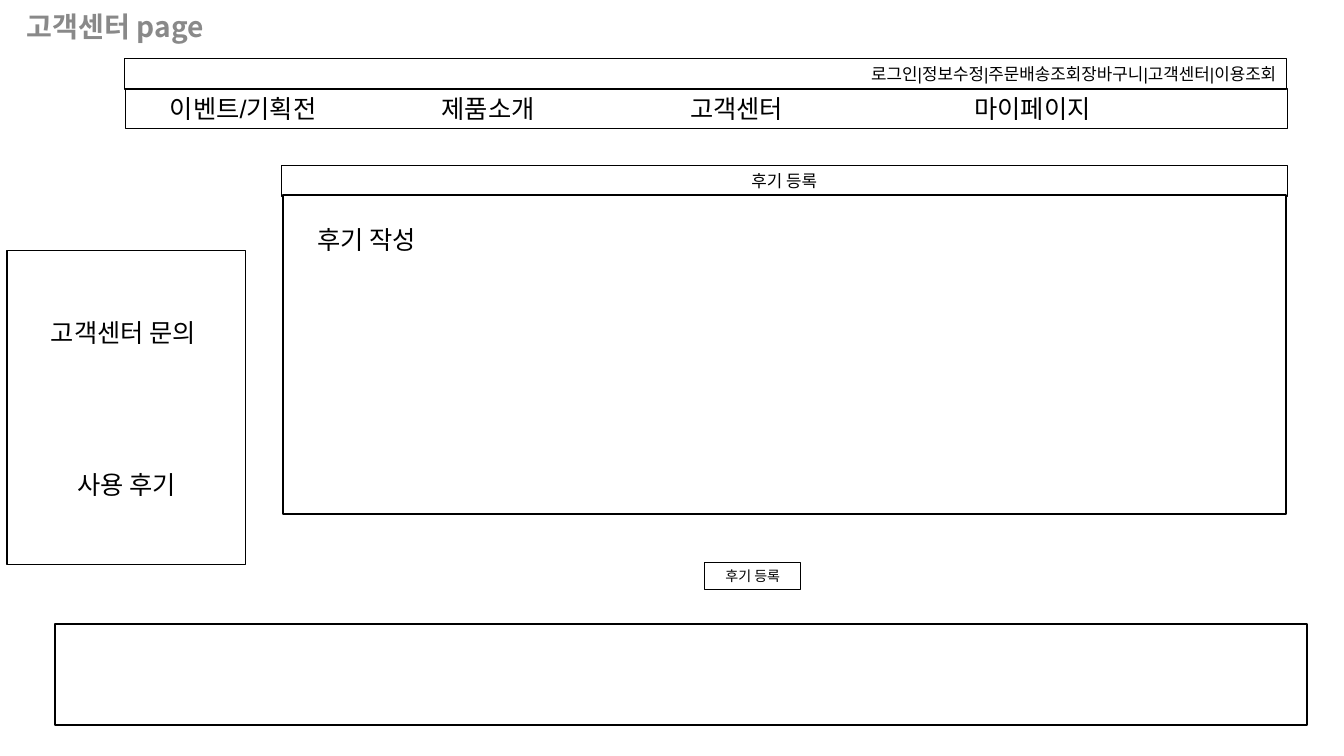
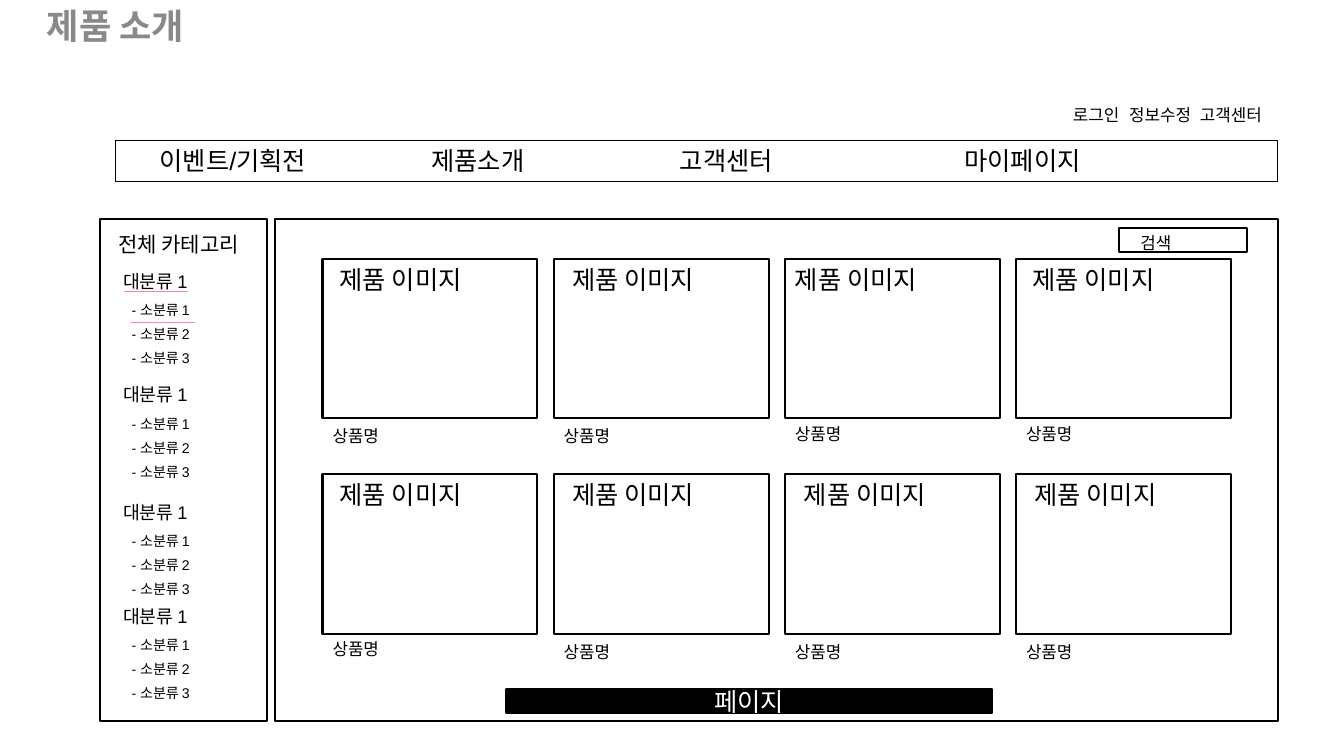
"""Build two wireframe slides for a shopping site: customer center and products."""
from lxml import etree
from pptx import Presentation
from pptx.dml.color import RGBColor
from pptx.enum.shapes import MSO_CONNECTOR, MSO_SHAPE
from pptx.enum.text import MSO_ANCHOR, MSO_AUTO_SIZE, PP_ALIGN
from pptx.oxml.ns import qn
from pptx.util import Pt

RECT = MSO_SHAPE.RECTANGLE
STRAIGHT = MSO_CONNECTOR.STRAIGHT
TOP, MIDDLE, BOTTOM = MSO_ANCHOR.TOP, MSO_ANCHOR.MIDDLE, MSO_ANCHOR.BOTTOM
LEFT, CENTER, RIGHT = PP_ALIGN.LEFT, PP_ALIGN.CENTER, PP_ALIGN.RIGHT

BLACK, WHITE, GRAY, PINK = "000000", "FFFFFF", "898989", "FF7DBD"
BODY_FONT, TITLE_FONT = "Arial", "Noto Sans CJK KR"
THIN, THICK = 0.77, 1.5

MENU = ["이벤트/기획전", "제품소개", "고객센터", "마이페이지"]
MENU_TABS = [24.5, 218, 395, 597.5]
ACCOUNT_LINKS = "로그인|정보수정|주문배송조회장바구니|고객센터|이용조회"
SHORT_LINKS = ["로그인", "정보수정", "고객센터"]
SHORT_TABS = [22.5, 62.5, 113]
SIDE_MENU = ["고객센터 문의 ", "사용 후기"]

CATEGORY = "대분류 1"
SUBCATEGORIES = ["- 소분류 1", "- 소분류 2", "- 소분류 3"]
CATEGORY_TOPS = [188.6, 269.3, 352.8, 427]
SUB_OFFSET, SUB_PITCH = 22.7, 17
UNDERLINES = [(88.6, 207.4), (93.6, 229.7)]
UNDERLINE_WIDTH = 45.4

CARD_LEFT, CARD_PITCH, CARD_W, CARD_H = 229.7, 164.6, 153, 113.5
CARD_ROWS = [
    (184.3, [(5, 115.2), (6, 115.2), (0, 113.5), (4.5, 113.5)]),
    (337.6, [(5, 113.2), (6, 115.2), (6.5, 115.2), (6, 115.2)]),
]


def color(value):
    """Turn a hex string into a colour."""
    return RGBColor.from_string(value)


def write(shape, lines, size=18, font=BODY_FONT, ink=BLACK, bold=False,
          align=LEFT, anchor=TOP, tabs=(), gap=0, top=3.6):
    """Fill a shape with formatted paragraphs."""
    tf = shape.text_frame
    tf.word_wrap = True
    tf.auto_size = MSO_AUTO_SIZE.NONE
    tf.vertical_anchor = anchor
    tf.margin_left = tf.margin_right = Pt(7.2)
    tf.margin_top, tf.margin_bottom = Pt(top), Pt(3.6)
    for i, line in enumerate([lines] if isinstance(lines, str) else lines):
        p = tf.add_paragraph() if i else tf.paragraphs[0]
        p.alignment = align
        p.space_before = Pt(gap if i else 0)
        if tabs:
            stops = etree.SubElement(p._p.get_or_add_pPr(), qn("a:tabLst"))
            for pos in tabs:
                etree.SubElement(stops, qn("a:tab"), pos=str(Pt(pos)), algn="l")
        r = p.add_run()
        r.text = line
        r.font.name, r.font.size, r.font.bold = font, Pt(size), bold
        r.font.color.rgb = color(ink)


def box(s, x, y, w, h, lines=None, weight=THICK, fill=WHITE, **fmt):
    """Draw an outlined rectangle, with text if given."""
    sp = s.shapes.add_shape(RECT, Pt(x), Pt(y), Pt(w), Pt(h))
    sp.shadow.inherit = False
    if fill:
        sp.fill.solid()
        sp.fill.fore_color.rgb = color(fill)
    else:
        sp.fill.background()
    sp.line.color.rgb = color(BLACK)
    sp.line.width = Pt(weight)
    if lines:
        write(sp, lines, **fmt)


def label(s, x, y, w, h, lines, **fmt):
    """Place a plain text box."""
    write(s.shapes.add_textbox(Pt(x), Pt(y), Pt(w), Pt(h)), lines, **fmt)


def outline(s, x, y, w, h, lines, **fmt):
    """Draw a thin unfilled rectangle with text."""
    box(s, x, y, w, h, lines, weight=THIN, fill=None, **fmt)


def tabbed(words):
    """Put each word on its own tab stop."""
    return "".join("\t" + word for word in words)


def menu_bar(s, x, y):
    """Draw the main menu shared by the pages."""
    outline(s, x, y, 827.3, 28.8, tabbed(MENU), tabs=MENU_TABS)


def underline(s, x, y):
    """Draw a pink line under a menu entry."""
    c = s.shapes.add_connector(STRAIGHT, Pt(x), Pt(y), Pt(x + UNDERLINE_WIDTH), Pt(y))
    c.line.color.rgb = color(PINK)
    c.line.width = Pt(1)
    etree.SubElement(c._element.spPr, qn("a:effectLst"))


def new_slide(prs, title, size):
    """Add a slide with the gray page title."""
    s = prs.slides.add_slide(prs.slide_layouts[5])
    sp = s.shapes.title
    sp.left, sp.top, sp.width, sp.height = Pt(0), Pt(0), Pt(164.2), Pt(36.7)
    write(sp, title, size=size, font=TITLE_FONT, ink=GRAY, bold=True,
          align=CENTER, anchor=MIDDLE)
    return s


def customer_center(prs):
    """Build the customer center page."""
    s = new_slide(prs, "고객센터 page", 20)
    outline(s, 88.6, 41.8, 827.3, 21.6, ACCOUNT_LINKS, size=12, align=RIGHT, anchor=BOTTOM)
    menu_bar(s, 89.3, 62.8)
    outline(s, 5, 178.6, 170, 223.2, SIDE_MENU, align=CENTER, top=46.9, gap=86.6)
    outline(s, 200.2, 118.1, 716.4, 21.6, "후기 등록", size=12, align=CENTER)
    outline(s, 501.8, 400.3, 68.4, 19.4, "후기 등록", size=10, align=CENTER)
    box(s, 38.9, 443.9, 892.1, 72)
    box(s, 201.6, 139, 714.2, 226.8)
    label(s, 218.9, 156.2, 100, 28.8, "후기 작성")


def products(prs):
    """Build the product list page."""
    s = new_slide(prs, "제품 소개", 25)
    menu_bar(s, 82.1, 100.1)
    label(s, 734.4, 71.3, 175.7, 21.6, tabbed(SHORT_LINKS), size=12, tabs=SHORT_TABS)
    box(s, 71.3, 156.2, 118.8, 357.1)
    box(s, 195.8, 156.2, 714.2, 357.1)
    label(s, 77, 161.3, 113, 25.2, "전체 카테고리", size=15)
    for top in CATEGORY_TOPS:
        label(s, 80.6, top, 113.8, 23, CATEGORY, size=13)
        for i, name in enumerate(SUBCATEGORIES):
            label(s, 86.6, top + SUB_OFFSET + i * SUB_PITCH, 73, 19.4, name, size=10)
    for x, y in UNDERLINES:
        underline(s, x, y)
    for top, cards in CARD_ROWS:
        for i, (image_dx, name_dy) in enumerate(cards):
            x = CARD_LEFT + i * CARD_PITCH
            box(s, x, top, CARD_W, CARD_H)
            label(s, x + image_dx, top, 112, 28.8, "제품 이미지")
            label(s, x, top + name_dy, 51, 21.6, "상품명", size=12)
    box(s, 360.7, 490.3, 345.6, 17.3, "페이지", fill=BLACK, ink=WHITE,
        align=CENTER, anchor=MIDDLE)
    box(s, 797, 162, 90.7, 17.3)
    label(s, 805, 162, 45, 21.6, "검색", size=12)


def main():
    """Build and save the presentation."""
    prs = Presentation()
    prs.slide_width, prs.slide_height = Pt(957), Pt(538)
    customer_center(prs)
    products(prs)
    prs.save("out.pptx")


if __name__ == "__main__":
    main()
